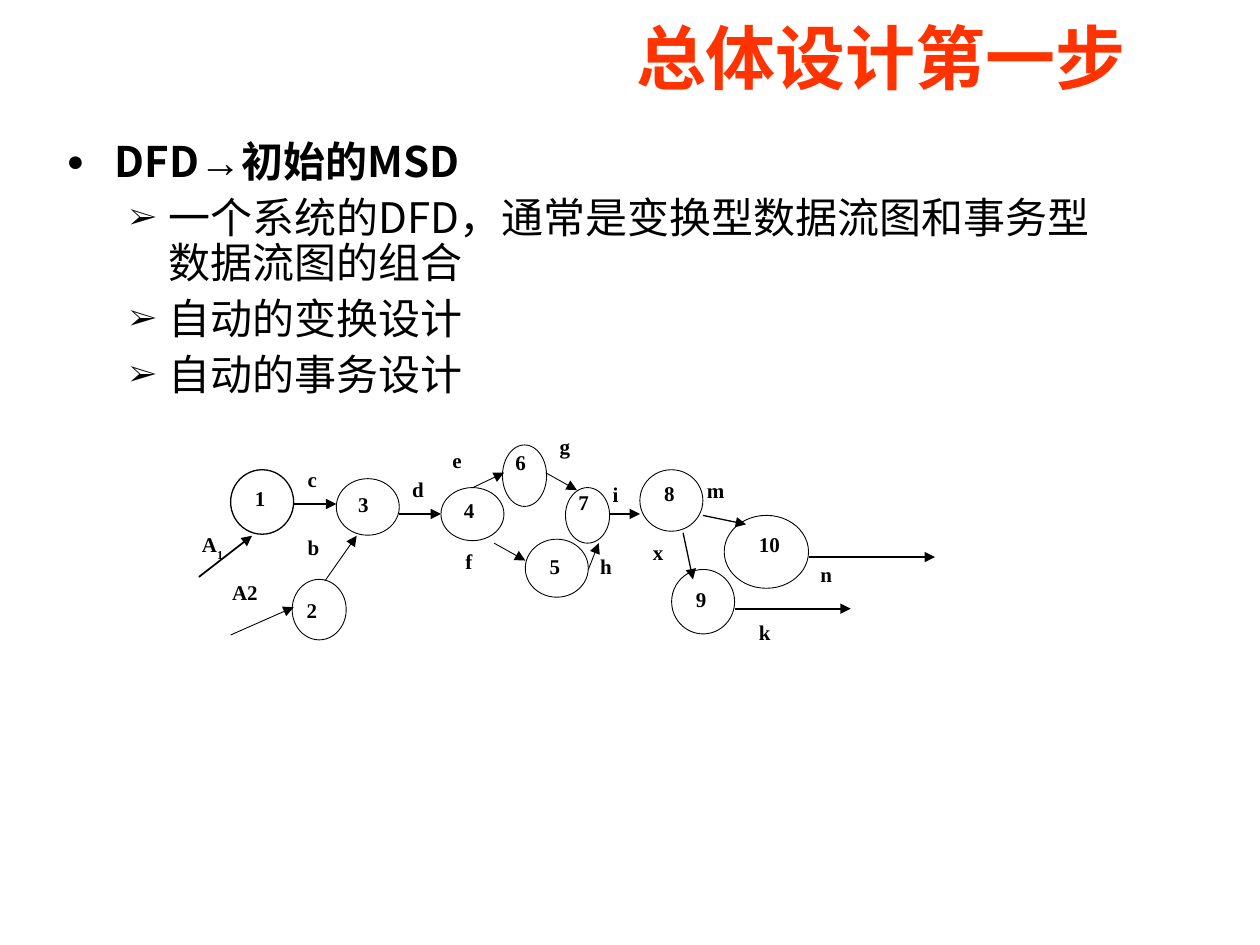
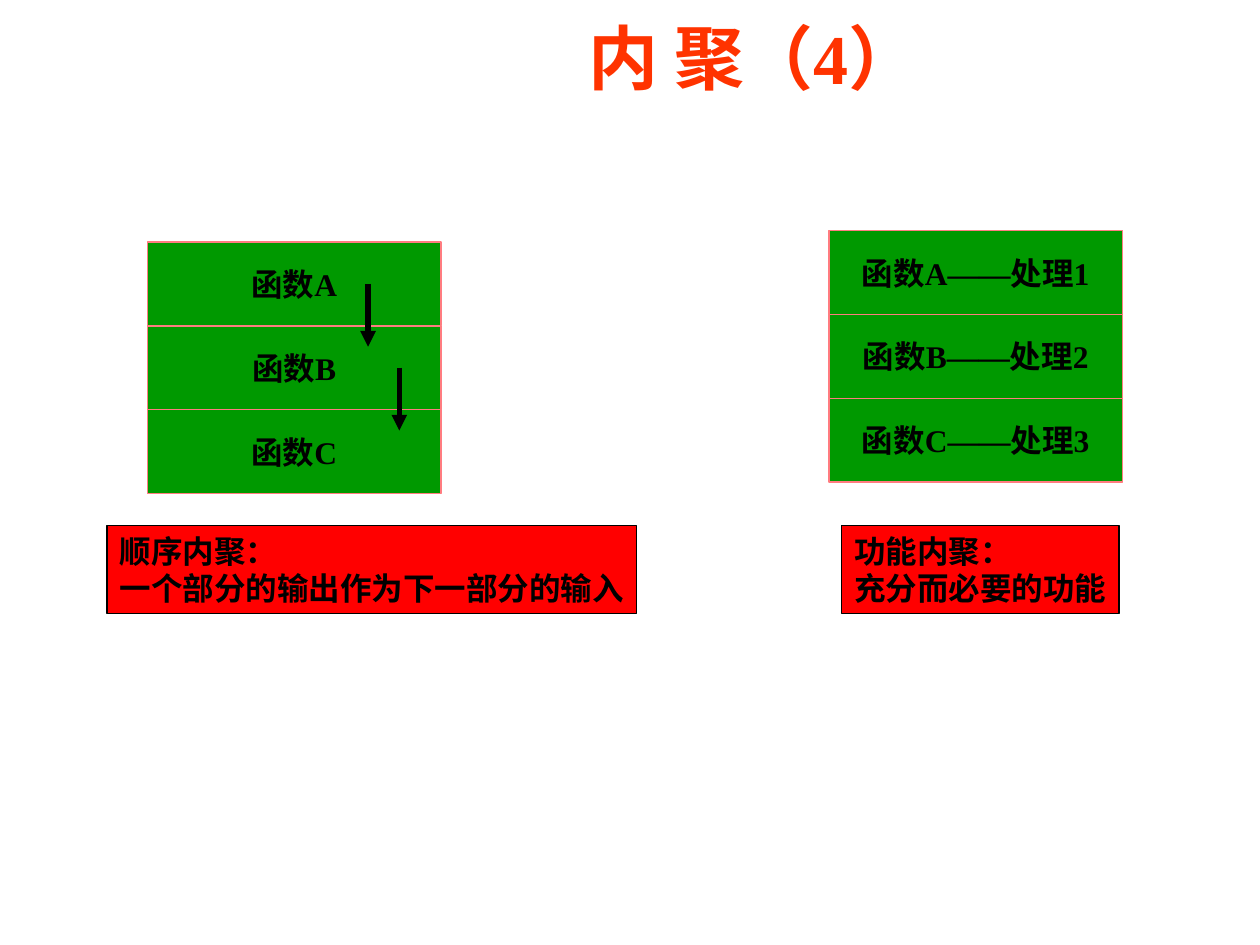
from dataclasses import dataclass

from lxml import etree
from pptx import Presentation
from pptx.dml.color import RGBColor
from pptx.enum import shapes, text
from pptx.oxml import ns
from pptx.util import Cm, Pt


@dataclass(frozen=True)
class Theme:
    title: str = "FF3300"
    ink: str = "000000"
    function: str = "009900"
    function_edge: str = "FF7C80"
    caption: str = "FF0000"
    latin: str = "Times New Roman"
    cjk: str = "Noto Sans CJK SC"
    symbol: str = "Arial"
    title_size: float = 40
    body_size: float = 24
    box_size: float = 18
    label_size: float = 12


THEME = Theme()


@dataclass(frozen=True)
class Box:
    """A rectangle in centimetres."""
    left: float
    top: float
    width: float
    height: float

    def lengths(self) -> list:
        return [Cm(v) for v in (self.left, self.top, self.width, self.height)]


@dataclass(frozen=True)
class Process:
    number: str
    bubble: Box
    label_at: tuple[float, float]
    weight: float = 0.5


@dataclass(frozen=True)
class Flow:
    name: str
    label_at: tuple[float, float]
    start: tuple[float, float]
    end: tuple[float, float]
    weight: float = 0.5
    subscript: str = ""


@dataclass(frozen=True)
class Cohesion:
    functions: list[str]
    left: float
    top: float
    caption: list[str]
    caption_box: Box


TITLE_BOX = Box(4.98, 0, 20.42, 2.29)
BODY_BOX = Box(1.09, 2.72, 21.62, 5.61)
FUNCTION_WIDTH, FUNCTION_HEIGHT = 5.92, 1.69

SUBPOINTS = [
    "一个系统的DFD，通常是变换型数据流图和事务型数据流图的组合",
    "自动的变换设计",
    "自动的事务设计",
]

PROCESSES = [
    Process("1", Box(4.65, 9.47, 1.27, 1.3), (5.11, 9.75), 0.75),
    Process("2", Box(5.89, 11.68, 1.09, 1.22), (6.15, 12.01)),
    Process("3", Box(6.78, 9.65, 1.27, 1.14), (7.19, 9.88)),
    Process("4", Box(8.89, 9.83, 1.27, 1.07), (9.32, 10.01)),
    Process("5", Box(10.59, 10.87, 1.27, 1.17), (11.05, 11.13)),
    Process("6", Box(10.13, 8.97, 0.89, 1.24), (10.36, 9.04)),
    Process("7", Box(11.4, 9.83, 0.89, 1.12), (11.63, 9.83)),
    Process("8", Box(12.9, 9.47, 1.27, 1.24), (13.36, 9.65)),
    Process("9", Box(13.54, 11.48, 1.27, 1.3), (14, 11.79)),
    Process("10", Box(14.6, 10.39, 1.7, 1.47), (15.27, 10.69)),
]

FLOWS = [
    Flow("A", (4.04, 10.69), (4.01, 11.63), (5.08, 10.8), 1, subscript="1"),
    Flow("A2", (4.65, 11.66), (4.65, 12.8), (5.92, 12.24)),
    Flow("b", (6.17, 10.74), (6.55, 11.71), (7.19, 10.8)),
    Flow("c", (6.17, 9.37), (5.92, 10.16), (6.78, 10.16), 1),
    Flow("d", (8.28, 9.58), (8.05, 10.36), (8.89, 10.36), 1),
    Flow("e", (9.09, 8.99), (9.53, 9.83), (10.16, 9.53)),
    Flow("f", (9.35, 11.02), (9.96, 10.95), (10.59, 11.3)),
    Flow("g", (11.25, 8.71), (11, 9.53), (11.63, 9.88)),
    Flow("h", (12.07, 11.13), (11.86, 11.48), (12.07, 10.95)),
    Flow("i", (12.32, 9.68), (12.27, 10.36), (12.9, 10.36), 1),
    Flow("m", (14.22, 9.6), (14.17, 10.39), (15.04, 10.57), 0.75),
    Flow("x", (13.13, 10.85), (13.77, 10.74), (13.97, 11.68), 0.75),
    Flow("n", (16.51, 11.3), (16.31, 11.23), (18.85, 11.23), 1),
    Flow("k", (15.27, 12.45), (14.81, 12.27), (17.15, 12.27), 1),
]

SEQUENTIAL = Cohesion(
    ["函数A", "函数B", "函数C"], 2.97, 4.88,
    ["顺序内聚：", "一个部分的输出作为下一部分的输入"],
    Box(2.16, 10.59, 10.67, 1.78))
FUNCTIONAL = Cohesion(
    ["函数A——处理1", "函数B——处理2", "函数C——处理3"], 16.71, 4.65,
    ["功能内聚：", "充分而必要的功能"],
    Box(16.97, 10.59, 5.59, 1.78))


def write(paragraph, words: str, *, size: float, color: str = THEME.ink,
          bold: bool = True, latin: str = THEME.latin, cjk: str = THEME.cjk,
          baseline: int = 0) -> None:
    """Add one formatted run; baseline is a shift in percent."""
    run = paragraph.add_run()
    run.text = words
    run.font.size, run.font.bold, run.font.name = Pt(size), bold, latin
    run.font.color.rgb = RGBColor.from_string(color)
    properties = run.font._element
    etree.SubElement(properties, ns.qn("a:ea"), typeface=cjk)
    if baseline:
        properties.set("baseline", str(baseline * 1000))


def set_insets(frame, left: float, top: float, right: float, bottom: float) -> None:
    frame.margin_left, frame.margin_top = Cm(left), Cm(top)
    frame.margin_right, frame.margin_bottom = Cm(right), Cm(bottom)


def place(shape, box: Box) -> None:
    shape.left, shape.top, shape.width, shape.height = box.lengths()


def add_titled_slide(deck, layout: int, title: str, left_inset: float, right_inset: float):
    slide = deck.slides.add_slide(deck.slide_layouts[layout])
    heading = slide.shapes.title
    place(heading, TITLE_BOX)
    frame = heading.text_frame
    frame.auto_size = text.MSO_AUTO_SIZE.NONE
    frame.vertical_anchor = text.MSO_ANCHOR.MIDDLE
    set_insets(frame, left_inset, 0.13, right_inset, 0.13)
    frame.paragraphs[0].alignment = text.PP_ALIGN.CENTER
    write(frame.paragraphs[0], title, size=THEME.title_size, color=THEME.title)
    return slide


def format_bullet(paragraph, mark: str, indent: float, hanging: float, level: int) -> None:
    paragraph.level = level
    properties = paragraph._p.get_or_add_pPr()
    properties.set("marL", str(Cm(indent)))
    properties.set("indent", str(-Cm(hanging)))
    color = etree.SubElement(properties, ns.qn("a:buClr"))
    etree.SubElement(color, ns.qn("a:srgbClr"), val=THEME.ink)
    etree.SubElement(properties, ns.qn("a:buSzPct"), val="70000")
    etree.SubElement(properties, ns.qn("a:buFont"), typeface=THEME.latin)
    etree.SubElement(properties, ns.qn("a:buChar"), char=mark)
    paragraph.line_spacing = 0.9
    paragraph.space_before = Pt(6 if level else 0)


def fill_body(slide) -> None:
    body = slide.placeholders[1]
    place(body, BODY_BOX)
    frame = body.text_frame
    frame.auto_size = text.MSO_AUTO_SIZE.NONE
    point = frame.paragraphs[0]
    format_bullet(point, "●", 0.97, 0.97, 0)
    for words, font in (("DFD", THEME.cjk), ("→", THEME.symbol), ("初始的MSD", THEME.cjk)):
        write(point, words, size=THEME.body_size, latin=font, cjk=font)
    for words in SUBPOINTS:
        subpoint = frame.add_paragraph()
        format_bullet(subpoint, "➢", 2.06, 0.79, 1)
        write(subpoint, words, size=THEME.body_size, bold=False, latin=THEME.cjk)


def add_arrow(slide, start: tuple[float, float], end: tuple[float, float],
              weight: float) -> None:
    arrow = slide.shapes.add_connector(
        shapes.MSO_CONNECTOR.STRAIGHT, *(Cm(v) for v in (*start, *end)))
    arrow.line.color.rgb = RGBColor.from_string(THEME.ink)
    arrow.line.width = Pt(weight)
    etree.SubElement(arrow.line._get_or_add_ln(), ns.qn("a:tailEnd"), type="triangle")
    etree.SubElement(arrow._element.spPr, ns.qn("a:effectLst"))


def add_outlined(slide, preset, box: Box, *, edge: str, weight: float, fill: str = ""):
    """Add a preset shape, hollow unless a fill colour is given."""
    outline = slide.shapes.add_shape(preset, *box.lengths())
    outline.shadow.inherit = False
    outline.line.color.rgb = RGBColor.from_string(edge)
    outline.line.width = Pt(weight)
    if fill:
        outline.fill.solid()
        outline.fill.fore_color.rgb = RGBColor.from_string(fill)
    else:
        outline.fill.background()
    return outline


def add_label(slide, at: tuple[float, float], words: str, subscript: str = "") -> None:
    width = 0.43 if len(words + subscript) == 1 else 0.8
    frame = slide.shapes.add_textbox(*Box(*at, width, 0.75).lengths()).text_frame
    frame.word_wrap = True
    set_insets(frame, 0.03, 0.03, 0.03, 0.03)
    write(frame.paragraphs[0], words, size=THEME.label_size)
    if subscript:
        write(frame.paragraphs[0], subscript, size=THEME.label_size, baseline=-30)


def add_process(slide, process: Process) -> None:
    add_outlined(slide, shapes.MSO_SHAPE.OVAL, process.bubble,
                 edge=THEME.ink, weight=process.weight)
    add_label(slide, process.label_at, process.number)


def add_flow(slide, flow: Flow) -> None:
    add_arrow(slide, flow.start, flow.end, flow.weight)
    add_label(slide, flow.label_at, flow.name, flow.subscript)


def add_text_rectangle(slide, box: Box, lines: list[str], *, fill: str, edge: str,
                       align, autosize=text.MSO_AUTO_SIZE.NONE) -> None:
    rectangle = add_outlined(slide, shapes.MSO_SHAPE.RECTANGLE, box,
                             edge=edge, weight=0.75, fill=fill)
    frame = rectangle.text_frame
    frame.word_wrap = False
    frame.auto_size = autosize
    frame.vertical_anchor = text.MSO_ANCHOR.MIDDLE
    for index, line in enumerate(lines):
        paragraph = frame.add_paragraph() if index else frame.paragraphs[0]
        paragraph.alignment = align
        write(paragraph, line, size=THEME.box_size)


def add_cohesion(slide, cohesion: Cohesion) -> None:
    """Stack the functions of one module above its caption."""
    for row, function in enumerate(cohesion.functions):
        box = Box(cohesion.left, cohesion.top + row * FUNCTION_HEIGHT,
                  FUNCTION_WIDTH, FUNCTION_HEIGHT)
        add_text_rectangle(slide, box, [function], fill=THEME.function,
                           edge=THEME.function_edge, align=text.PP_ALIGN.CENTER)
    add_text_rectangle(slide, cohesion.caption_box, cohesion.caption,
                       fill=THEME.caption, edge=THEME.ink, align=text.PP_ALIGN.LEFT,
                       autosize=text.MSO_AUTO_SIZE.SHAPE_TO_FIT_TEXT)


def build_design_slide(deck) -> None:
    slide = add_titled_slide(deck, 1, "总体设计第一步", 5.38, 0.25)
    fill_body(slide)
    for process in PROCESSES:
        add_process(slide, process)
    for flow in FLOWS:
        add_flow(slide, flow)


def build_cohesion_slide(deck) -> None:
    slide = add_titled_slide(deck, 5, "内 聚（4）", 0, 0)
    for cohesion in (SEQUENTIAL, FUNCTIONAL):
        add_cohesion(slide, cohesion)
    for step in range(len(SEQUENTIAL.functions) - 1):
        x, y = 7.42 + step * 0.63, 5.72 + step * FUNCTION_HEIGHT
        add_arrow(slide, (x, y), (x, y + 1.27), 3)


def main() -> None:
    deck = Presentation()
    deck.slide_width, deck.slide_height = Cm(25.4), Cm(19.05)
    build_design_slide(deck)
    build_cohesion_slide(deck)
    deck.save("out.pptx")


if __name__ == "__main__":
    main()
